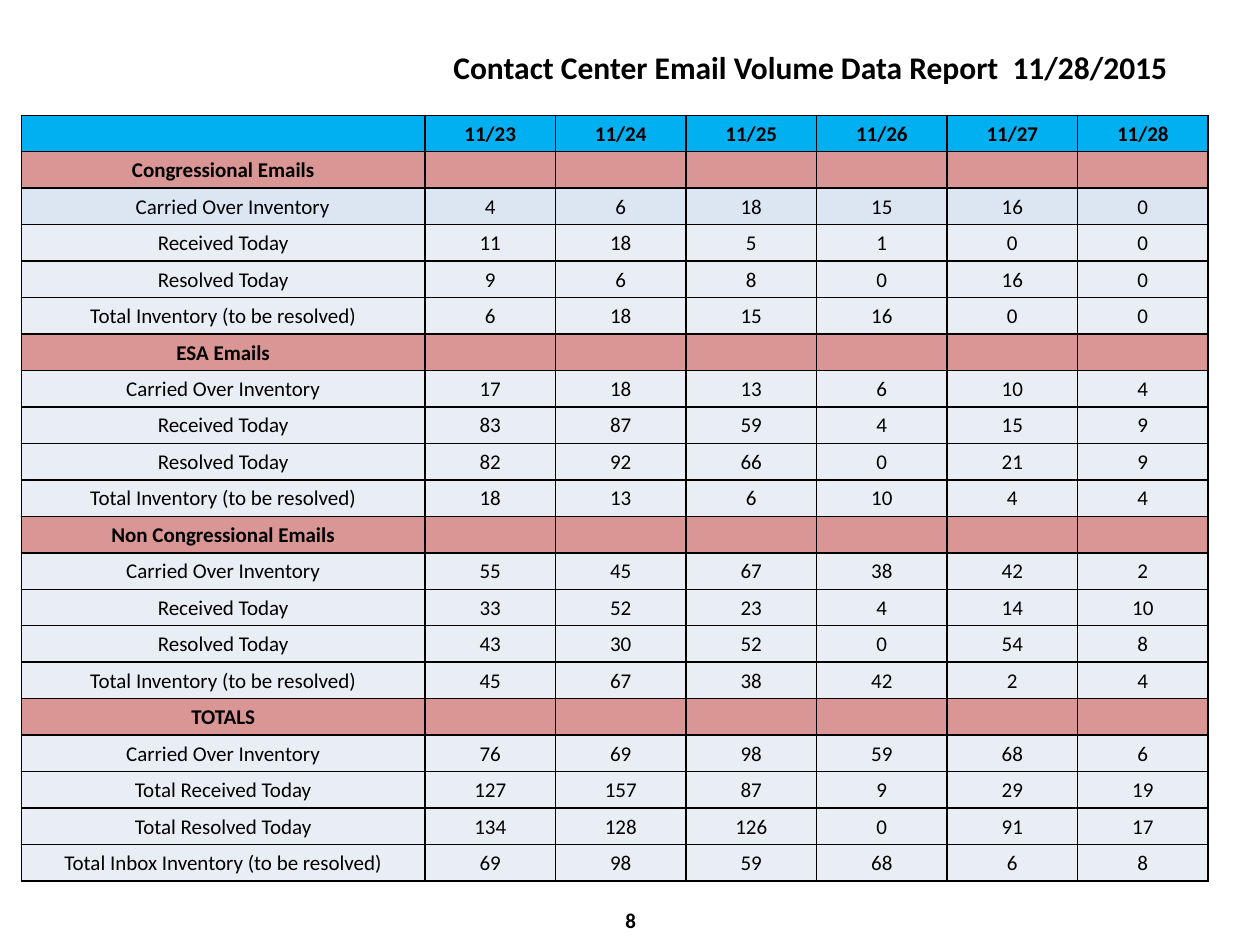
from lxml.etree import SubElement as Sub
from pptx import Presentation
from pptx.dml.color import RGBColor as RGB
from pptx.enum.text import MSO_ANCHOR as Anchor, PP_ALIGN as Align
from pptx.oxml.ns import qn
from pptx.util import Inches, Pt

WIDE, HIGH = Inches(10), Inches(7.5)
FONT = "Calibri"
BLACK = RGB(0x00, 0x00, 0x00)
BLUE = RGB(0x00, 0xB0, 0xF0)
ROSE = RGB(0xD9, 0x96, 0x94)
SKY = RGB(0xDC, 0xE6, 0xF2)
PALE = RGB(0xE9, 0xED, 0xF4)

DATES = ["11/23", "11/24", "11/25", "11/26", "11/27", "11/28"]
LABELS = ["Carried Over Inventory", "Received Today", "Resolved Today",
          "Total Inventory (to be resolved)"]
SUMS = ["Carried Over Inventory", "Total Received Today",
        "Total Resolved Today", "Total Inbox Inventory (to be resolved)"]
GROUPS = [
    ("Congressional Emails", LABELS, [
        (4, 6, 18, 15, 16, 0), (11, 18, 5, 1, 0, 0),
        (9, 6, 8, 0, 16, 0), (6, 18, 15, 16, 0, 0)]),
    ("ESA Emails", LABELS, [
        (17, 18, 13, 6, 10, 4), (83, 87, 59, 4, 15, 9),
        (82, 92, 66, 0, 21, 9), (18, 13, 6, 10, 4, 4)]),
    ("Non Congressional Emails", LABELS, [
        (55, 45, 67, 38, 42, 2), (33, 52, 23, 4, 14, 10),
        (43, 30, 52, 0, 54, 8), (45, 67, 38, 42, 2, 4)]),
    ("TOTALS", SUMS, [
        (76, 69, 98, 59, 68, 6), (127, 157, 87, 9, 29, 19),
        (134, 128, 126, 0, 91, 17), (69, 98, 59, 68, 6, 8)]),
]


def share(x, y, w, h):
    """Turn shares of the slide into a box of lengths."""
    return int(x * WIDE), int(y * HIGH), int(w * WIDE), int(h * HIGH)


def write(para, text, size, bold, align):
    """Add one styled run to a paragraph."""
    para.alignment = align
    run = para.add_run()
    run.text = text
    font = run.font
    font.name, font.size, font.bold = FONT, Pt(size), bold
    font.color.rgb = BLACK


def put_line(slide, box, text, size, align, anchor):
    """Place one bold line of text in the box."""
    frame = slide.shapes.add_textbox(*box).text_frame
    frame.word_wrap = True
    frame.vertical_anchor = anchor
    write(frame.paragraphs[0], text, size, True, align)


def edge(cell):
    """Draw a thin black border on all four sides of a cell."""
    props = cell._tc.get_or_add_tcPr()
    for side in ("a:lnL", "a:lnR", "a:lnT", "a:lnB"):
        line = Sub(props, qn(side), w=str(Pt(1)))
        Sub(Sub(line, qn("a:solidFill")), qn("a:srgbClr"), val=str(BLACK))


def put_cell(cell, text, fill, bold):
    """Style one cell and write its text."""
    edge(cell)
    cell.fill.solid()
    cell.fill.fore_color.rgb = fill
    cell.vertical_anchor = Anchor.MIDDLE
    cell.margin_left = cell.margin_right = cell.margin_top = Inches(0.01)
    cell.margin_bottom = 0
    para = cell.text_frame.paragraphs[0]
    if text:
        write(para, text, 12, bold, Align.CENTER)
    else:
        Sub(para._p, qn("a:endParaRPr"), sz="1200")


def list_rows():
    """List each row as its texts, fill and weight."""
    rows = [([""] + DATES, BLUE, True)]
    for name, labels, counts in GROUPS:
        rows.append(([name] + [""] * len(DATES), ROSE, True))
        for label, nums in zip(labels, counts):
            rows.append(([label] + [str(n) for n in nums], PALE, False))
    texts, _, bold = rows[2]
    rows[2] = texts, SKY, bold
    return rows


def put_table(slide, box):
    """Fill the box with the table of daily counts."""
    rows = list_rows()
    wide, high = box[2:]
    table = slide.shapes.add_table(len(rows), len(DATES) + 1, *box).table
    first = int(wide * 0.34)
    for col in table.columns:
        col.width = (wide - first) // len(DATES)
    table.columns[0].width = first
    for r, (texts, fill, bold) in enumerate(rows):
        table.rows[r].height = high // len(rows)
        for c, text in enumerate(texts):
            put_cell(table.cell(r, c), text, fill, bold)
    table.cell(2, 0).margin_left = Inches(0.16)


def main():
    """Build the report slide and save it."""
    deck = Presentation()
    deck.slide_width, deck.slide_height = WIDE, HIGH
    slide = deck.slides.add_slide(deck.slide_layouts[6])
    put_line(slide, share(0.342, 0.947, 0.317, 0.053), "8", 12,
             Align.CENTER, Anchor.MIDDLE)
    put_line(slide, share(0.35, 0.044, 0.642, 0.054),
             "Contact Center Email Volume Data Report  11/28/2015", 18,
             Align.LEFT, Anchor.TOP)
    put_table(slide, share(0.017, 0.122, 0.942, 0.811))
    deck.save("out.pptx")


if __name__ == "__main__":
    main()
